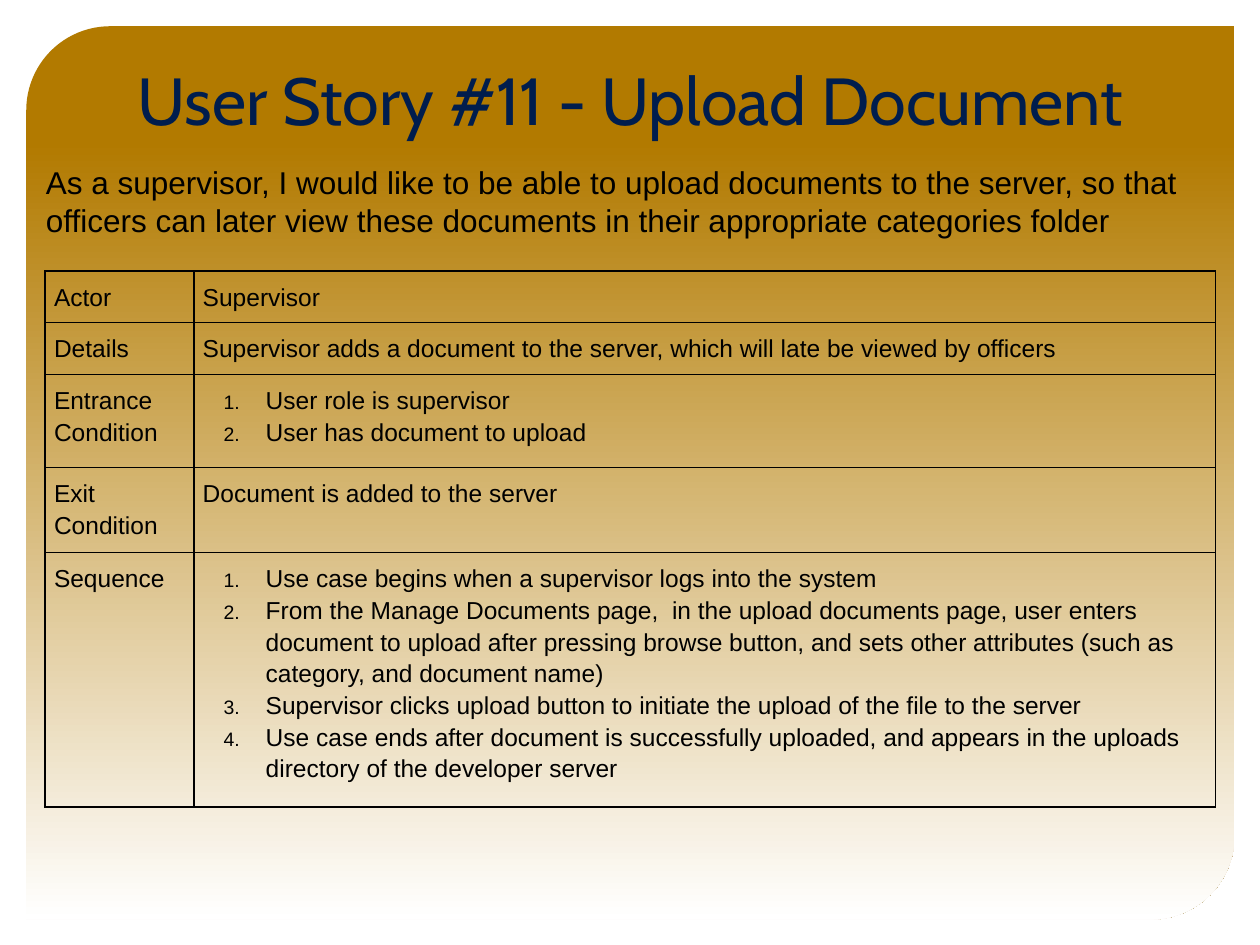
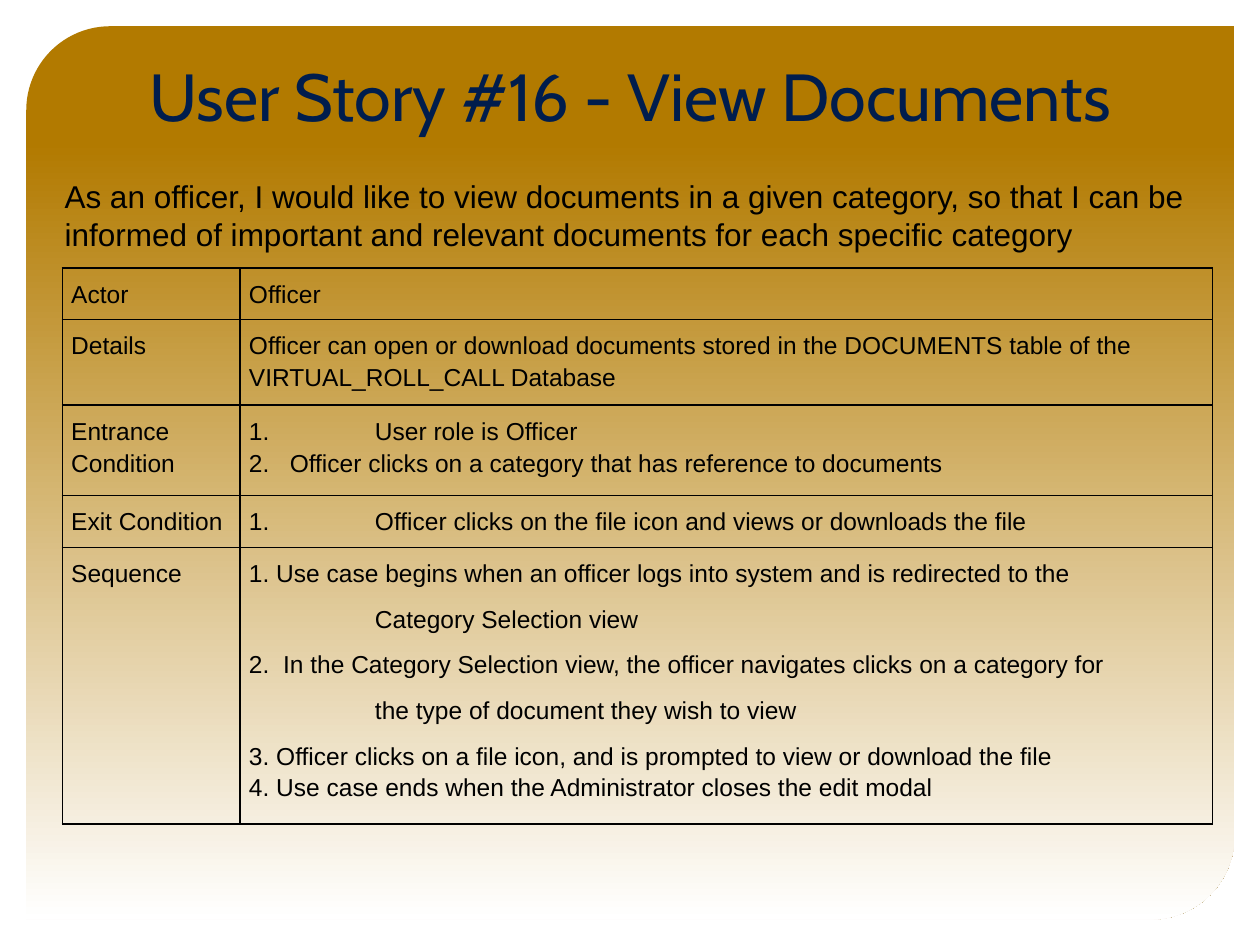
from dataclasses import dataclass
from typing import NamedTuple

from pptx import Presentation
from pptx.dml.color import RGBColor
from pptx.enum.shapes import MSO_SHAPE as Preset
from pptx.enum.text import MSO_ANCHOR as Anchor, PP_ALIGN as Align
from pptx.oxml import parse_xml
from pptx.oxml.ns import nsdecls
from pptx.util import Pt


@dataclass(frozen=True)
class Theme:
    gold: str = "B27A00"
    white: str = "FFFFFF"
    navy: str = "001D4D"
    black: str = "000000"
    title_font: str = "Cabin"
    body_font: str = "Arial"
    title_size: float = 38
    summary_size: float = 18
    cell_size: float = 14
    box_inset: float = 7.2
    cell_inset: float = 5.1
    border: float = 1
    line_spacing: float = 1.15
    space_after: float = 8
    number_scale: int = 79


THEME = Theme()


class Area(NamedTuple):
    left: float
    top: float
    width: float
    height: float


class Line(NamedTuple):
    text: str
    after: float = 0
    left: float = 0
    hang: float = 0
    numbered: bool = False


class Row(NamedTuple):
    label: str
    height: float
    lines: list[Line]


class Story(NamedTuple):
    title: str
    title_area: Area
    summary: str
    summary_area: Area
    table_area: Area
    label_width: float
    rows: list[Row]


def hanging(text: str, width: float) -> Line:
    return Line(text, left=width, hang=width)


def numbered_list(*texts: str) -> list[Line]:
    last = len(texts) - 1
    return [Line(text, THEME.space_after if index == last else 0, 36, 24, True)
            for index, text in enumerate(texts)]


PANEL = Area(15, 15, 690.5, 510.5)
TAB = 72

STORIES = [
    Story(
        "User Story #11 - Upload Document",
        Area(41, 21, 638.5, 70.5),
        "As a supervisor, I would like to be able to upload documents to the server, "
        "so that officers can later view these documents in their appropriate categories folder",
        Area(19.2, 82.2, 669, 64.8),
        Area(25.8, 154.9, 668.8, 250.6),
        85,
        [
            Row("Actor", 25.2, [Line("Supervisor")]),
            Row("Details", 25.2, [Line(
                "Supervisor adds a document to the server, which will late be viewed by officers")]),
            Row("Entrance Condition", 53.2, numbered_list(
                "User role is supervisor",
                "User has document to upload")),
            Row("Exit Condition", 34, [Line("Document is added to the server", THEME.space_after)]),
            Row("Sequence", 113, numbered_list(
                "Use case begins when a supervisor logs into the system",
                "From the Manage Documents page,  in the upload documents page, user enters "
                "document to upload after pressing browse button, and sets other attributes "
                "(such as category, and document name)",
                "Supervisor clicks upload button to initiate the upload of the file to the server",
                "Use case ends after document is successfully uploaded, and appears in the "
                "uploads directory of the developer server")),
        ],
    ),
    Story(
        "User Story #16 - View Documents",
        Area(14.2, 23.8, 692, 61.2),
        "As an officer, I would like to view documents in a given category, so that I can be "
        "informed of important and relevant documents for each specific category",
        Area(29.8, 92.2, 656.6, 61.2),
        Area(35.6, 153.2, 657.4, 298.8),
        101.6,
        [
            Row("Actor", 25.2, [Line("Officer")]),
            Row("Details", 39.6, [Line(
                "Officer can open or download documents stored in the DOCUMENTS table of the "
                "VIRTUAL_ROLL_CALL Database")]),
            Row("Entrance Condition", 51.8, [
                hanging("1.\tUser role is Officer", TAB),
                hanging("2.\tOfficer clicks on a category that has reference to documents", 23.3)]),
            Row("Exit Condition", 25.2, [
                hanging("1.\tOfficer clicks on the file icon and views or downloads the file", TAB)]),
            Row("Sequence", 157, [
                Line("1. Use case begins when an officer logs into system and is redirected to the",
                     THEME.space_after),
                Line("Category Selection view", THEME.space_after, TAB),
                Line("2.\tIn the Category Selection view, the officer navigates clicks on a category for",
                     THEME.space_after, 19.5, 19.5),
                Line("the type of document they wish to view", THEME.space_after, TAB),
                Line("3. Officer clicks on a file icon, and is prompted to view or download the file"),
                Line("4. Use case ends when the Administrator closes the edit modal")]),
        ],
    ),
]


def points(area: Area) -> list[Pt]:
    return [Pt(length) for length in area]


def write(para, text: str, *, size: float, font: str = THEME.body_font,
          color: str = THEME.black, align: Align = Align.LEFT,
          after: float = 0, spacing: float = 1) -> None:
    para.alignment = align
    para.line_spacing = spacing
    para.space_before = Pt(0)
    para.space_after = Pt(after)
    span = para.add_run()
    span.text = text
    span.font.size = Pt(size)
    span.font.name = font
    span.font.color.rgb = RGBColor.from_string(color)


def add_text(page, area: Area, text: str, **style) -> None:
    frame = page.shapes.add_textbox(*points(area)).text_frame
    frame.word_wrap = True
    frame.vertical_anchor = Anchor.MIDDLE
    frame.margin_left = frame.margin_right = Pt(THEME.box_inset)
    frame.margin_top = frame.margin_bottom = Pt(THEME.box_inset)
    write(frame.paragraphs[0], text, **style)


def add_panel(page) -> None:
    panel = page.shapes.add_shape(Preset.ROUND_2_DIAG_RECTANGLE, *points(PANEL))
    panel.shadow.inherit = False
    panel.adjustments[0] = 0.094
    panel.adjustments[1] = 0
    panel.line.fill.background()
    panel.fill.background()
    stops = "".join(
        f'<a:gs pos="{percent * 1000}"><a:srgbClr val="{color}"/></a:gs>'
        for percent, color in ((0, THEME.gold), (13, THEME.gold), (100, THEME.white)))
    gradient = parse_xml(
        f'<a:gradFill {nsdecls("a")} rotWithShape="1"><a:gsLst>{stops}</a:gsLst>'
        '<a:lin ang="5400000" scaled="0"/></a:gradFill>')
    properties = panel._element.spPr
    properties.replace(properties.find("{*}noFill"), gradient)


def indent(para, line: Line) -> None:
    properties = para._p.get_or_add_pPr()
    properties.set("marL", str(Pt(line.left)))
    properties.set("indent", str(-Pt(line.hang)))
    if line.numbered:
        properties.append(parse_xml(
            f'<a:buSzPct {nsdecls("a")} val="{THEME.number_scale * 1000}"/>'))
        properties.append(parse_xml(
            f'<a:buAutoNum {nsdecls("a")} type="arabicPeriod"/>'))


def outline(cell) -> None:
    properties = cell._tc.get_or_add_tcPr()
    for place, side in enumerate("LRTB"):
        properties.insert(place, parse_xml(
            f'<a:ln{side} {nsdecls("a")} w="{Pt(THEME.border)}"><a:solidFill>'
            f'<a:srgbClr val="{THEME.black}"/></a:solidFill></a:ln{side}>'))


def fill_cell(cell, lines: list[Line], align: Align) -> None:
    cell.margin_left = cell.margin_right = Pt(THEME.cell_inset)
    cell.margin_top = cell.margin_bottom = Pt(THEME.cell_inset)
    cell.vertical_anchor = Anchor.TOP
    cell.fill.background()
    outline(cell)
    frame = cell.text_frame
    for index, line in enumerate(lines):
        para = frame.add_paragraph() if index else frame.paragraphs[0]
        write(para, line.text, size=THEME.cell_size, align=align,
              after=line.after, spacing=THEME.line_spacing)
        indent(para, line)


def add_story_table(page, story: Story) -> None:
    table = page.shapes.add_table(len(story.rows), 2, *points(story.table_area)).table
    table.first_row = table.horz_banding = False
    table.columns[0].width = Pt(story.label_width)
    table.columns[1].width = Pt(story.table_area.width - story.label_width)
    for index, row in enumerate(story.rows):
        table.rows[index].height = Pt(row.height)
        fill_cell(table.cell(index, 0), [Line(row.label)], Align.JUSTIFY)
        fill_cell(table.cell(index, 1), row.lines, Align.LEFT)


def add_story(deck, story: Story) -> None:
    page = deck.slides.add_slide(deck.slide_layouts[6])
    add_panel(page)
    add_text(page, story.title_area, story.title, size=THEME.title_size,
             font=THEME.title_font, color=THEME.navy, align=Align.CENTER)
    add_text(page, story.summary_area, story.summary, size=THEME.summary_size,
             after=THEME.space_after)
    add_story_table(page, story)


def main() -> None:
    deck = Presentation()
    deck.slide_width, deck.slide_height = Pt(720), Pt(540)
    for story in STORIES:
        add_story(deck, story)
    deck.save("out.pptx")


if __name__ == "__main__":
    main()
